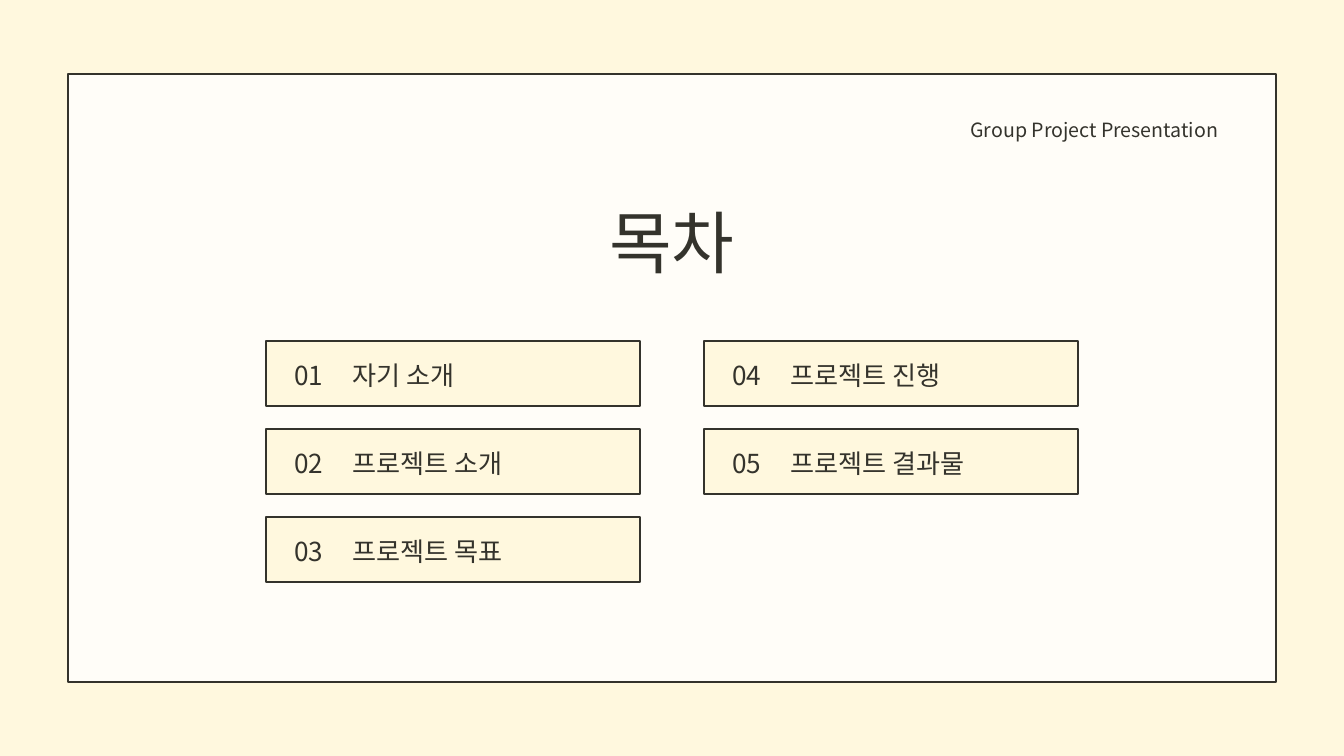
from lxml import etree
from pptx import Presentation
from pptx.dml.color import RGBColor
from pptx.enum.shapes import MSO_SHAPE
from pptx.enum.text import PP_ALIGN
from pptx.oxml.ns import qn
from pptx.util import Emu, Pt

LEFT, CENTER, RIGHT = PP_ALIGN.LEFT, PP_ALIGN.CENTER, PP_ALIGN.RIGHT
RECT = MSO_SHAPE.RECTANGLE

# Content
TITLE = "목차"
HEADER = "Group Project Presentation"
ITEMS = ["자기 소개", "프로젝트 소개", "프로젝트 목표", "프로젝트 진행", "프로젝트 결과물"]

# Style
FONT = "Noto Sans CJK KR"
CREAM, PAPER, INK = "FFF8DE", "FFFDF8", "34332C"

# Layout in px
SLIDE_W, SLIDE_H = 1344, 756
GRID_X, GRID_Y, ROWS = 266, 341, 3
BOX_W, BOX_H = 374, 65
COL_STEP, ROW_STEP = 438, 88


def px(n):
    return Emu(round(n * 914400 / 67.2))


def color(value):
    return RGBColor.from_string(value)


def add_box(s, x, y, w, h, fill):
    box = s.shapes.add_shape(RECT, px(x), px(y), px(w), px(h))
    box.shadow.inherit = False
    box.fill.solid()
    box.fill.fore_color.rgb = color(fill)
    box.line.color.rgb = color(INK)
    box.line.width = Pt(1.5)


def add_text(s, text, x, y, w, h, size, spacing, align=LEFT):
    tf = s.shapes.add_textbox(px(x), px(y), px(w), px(h)).text_frame
    tf.word_wrap = True
    tf.margin_left = tf.margin_right = tf.margin_top = tf.margin_bottom = 0
    p = tf.paragraphs[0]
    p.text = text
    p.alignment = align
    p.line_spacing = Pt(spacing)
    p.font.size = Pt(size)
    p.font.color.rgb = color(INK)
    p.font.name = FONT
    # Hangul takes the East Asian typeface
    defaults = p._p.pPr.find(qn("a:defRPr"))
    etree.SubElement(defaults, qn("a:ea")).set("typeface", FONT)


prs = Presentation()
prs.slide_width, prs.slide_height = px(SLIDE_W), px(SLIDE_H)
s = prs.slides.add_slide(prs.slide_layouts[6])
s.background.fill.solid()
s.background.fill.fore_color.rgb = color(CREAM)

# Frame, title and header
add_box(s, 68, 74, 1208, 608, PAPER)
add_text(s, TITLE, 418, 194, 508, 88, 73, 94.2, CENTER)
add_text(s, HEADER, 921, 112, 297, 28, 21, 32.1, RIGHT)

# Contents, filled column by column
for i, item in enumerate(ITEMS):
    col, row = divmod(i, ROWS)
    x, y = GRID_X + col * COL_STEP, GRID_Y + row * ROW_STEP
    add_box(s, x, y, BOX_W, BOX_H, CREAM)
    add_text(s, f"{i + 1:02}", x + 23, y + 10, 39, 38, 28, 42.8, CENTER)
    add_text(s, item, x + 87, y + 10, 257, 38, 28, 42.8)

prs.save("out.pptx")
